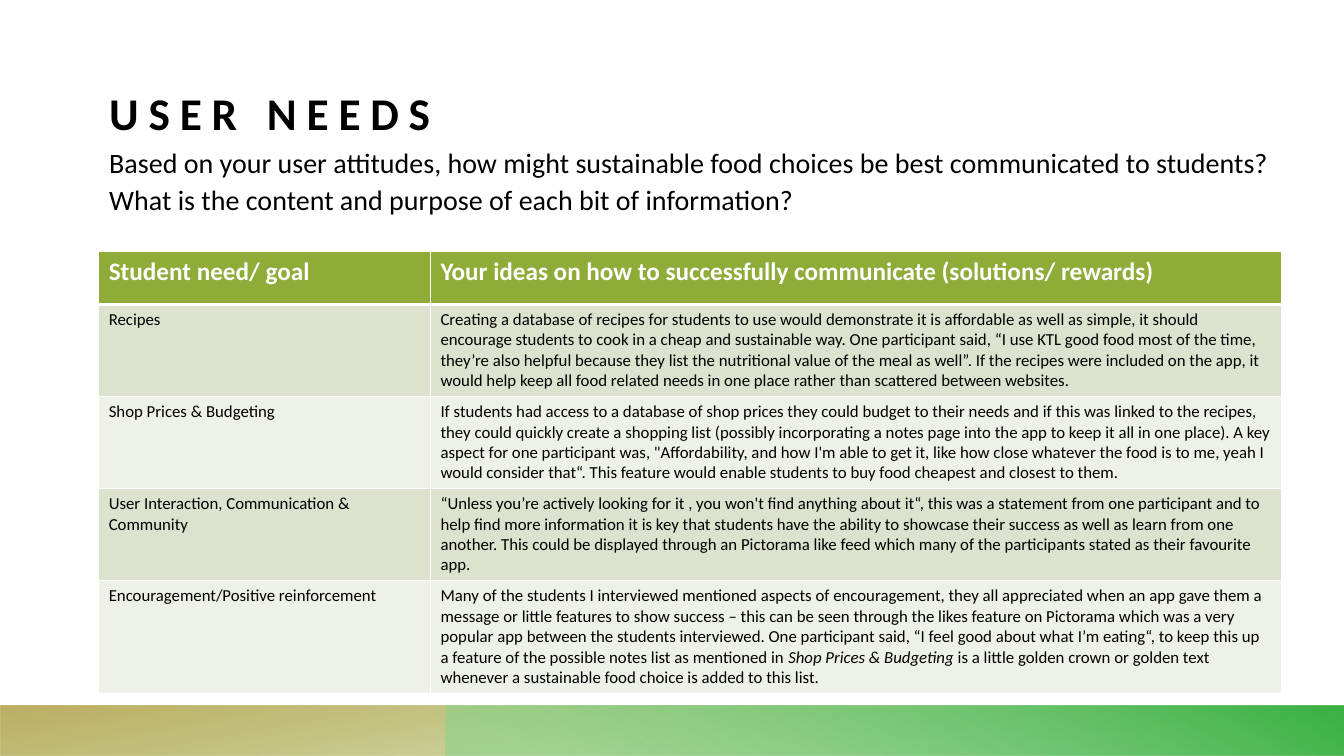
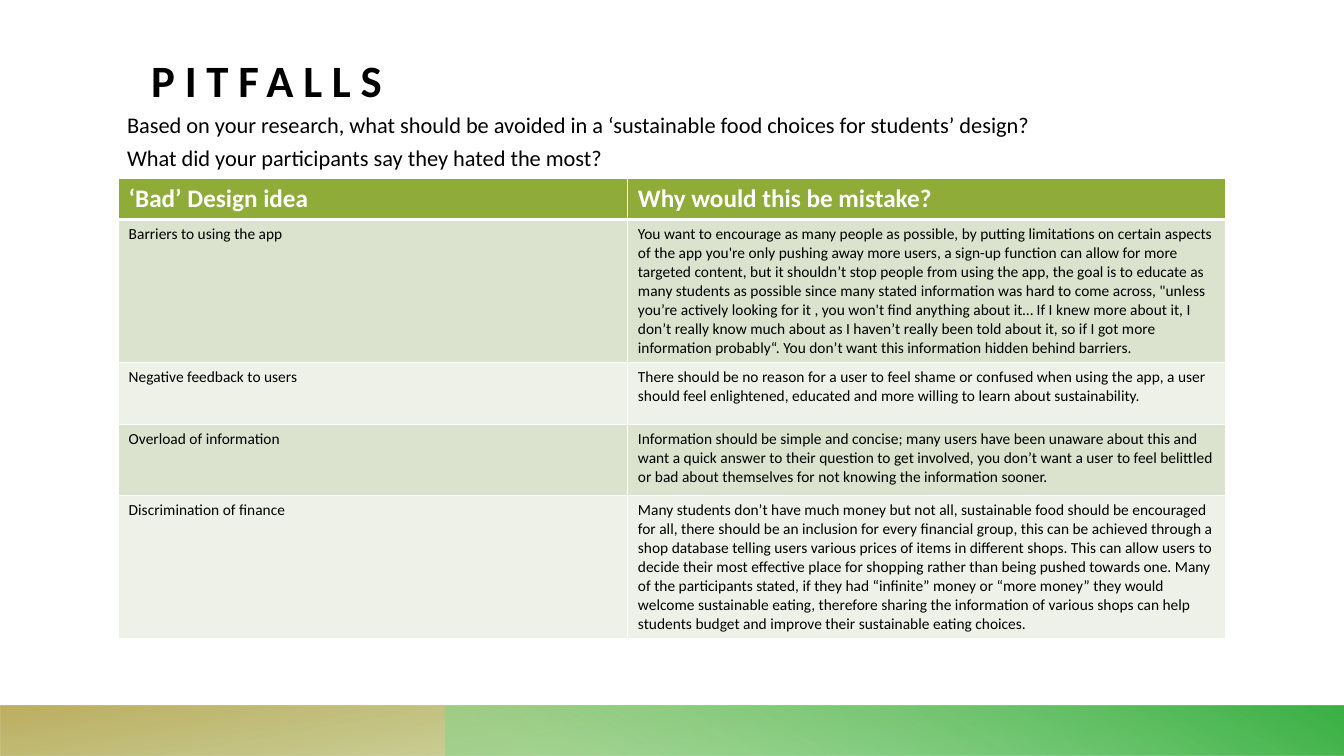
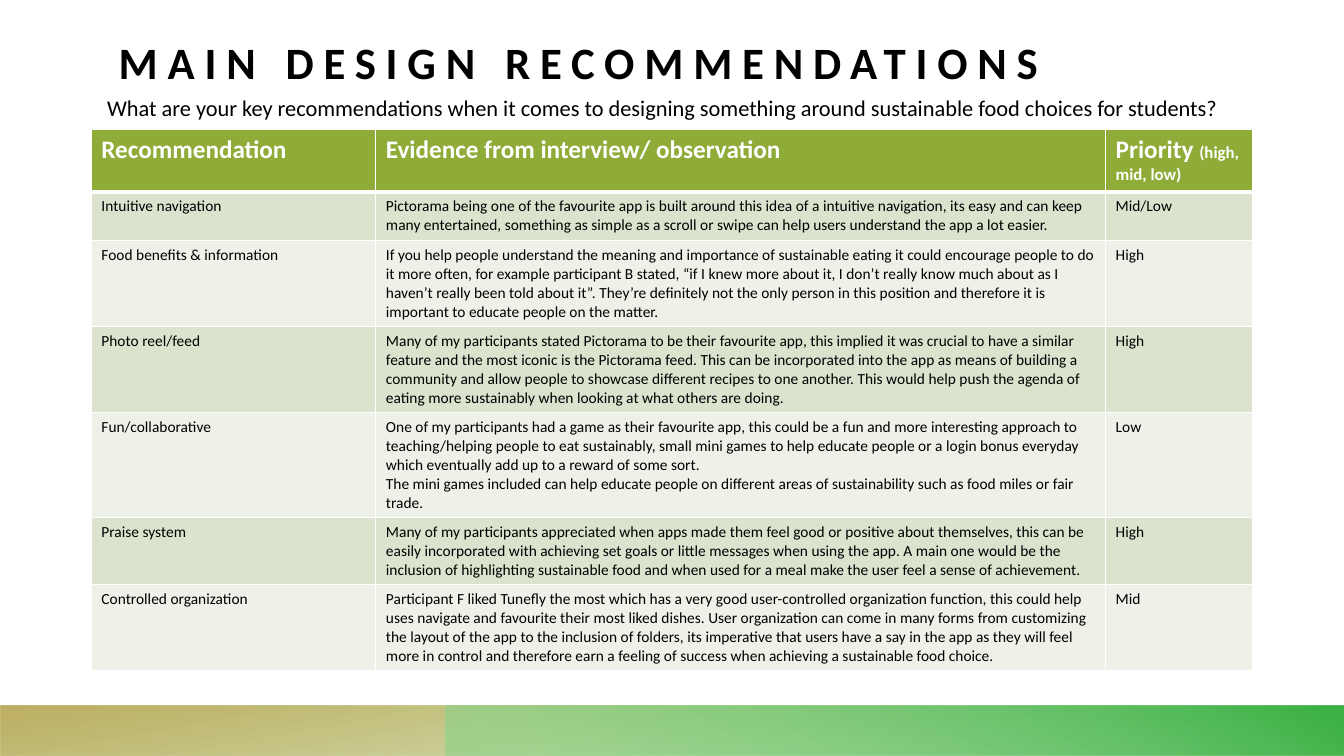
from pptx import Presentation
from pptx.dml.color import RGBColor
from pptx.enum.shapes import MSO_SHAPE
from pptx.enum.text import MSO_ANCHOR, MSO_AUTO_SIZE, PP_ALIGN
from pptx.oxml import parse_xml
from pptx.oxml.ns import nsdecls, qn
from pptx.util import Pt

RECT = MSO_SHAPE.RECTANGLE
BOTTOM, TOP = MSO_ANCHOR.BOTTOM, MSO_ANCHOR.TOP
NO_FIT = MSO_AUTO_SIZE.NONE
LEFT = PP_ALIGN.LEFT

PX = 9525  # EMU in one px, 96 px to the inch
WIDTH, HEIGHT = 1280, 720
BAND_TOP, BAND_HEIGHT = 672, 48
GREEN_BAND_LEFT = 424

FONT = "Calibri"
TITLE_PT, TITLE_TRACKING = 32, 700
HEADER_PT = 18
THIN, THICK = Pt(1), Pt(3)

BLACK = RGBColor(0x00, 0x00, 0x00)
WHITE = RGBColor(0xFF, 0xFF, 0xFF)
OLIVE = RGBColor(0x8F, 0xAC, 0x39)
GOLD = RGBColor(0xB2, 0xA0, 0x46)
MINT = RGBColor(0x84, 0xD6, 0x8A)
GREEN = RGBColor(0x3B, 0xB1, 0x44)
ROW_FILLS = (RGBColor(0xDB, 0xE3, 0xCE), RGBColor(0xEE, 0xF1, 0xE8))

NEEDS = [
    ["Student need/ goal",
     "Your ideas on how to successfully communicate (solutions/ rewards)"],
    ["Recipes",
     "Creating a database of recipes for students to use would demonstrate it is "
     "affordable as well as simple, it should encourage students to cook in a cheap "
     "and sustainable way. One participant said, “I use KTL good food most of the "
     "time, they’re also helpful because they list the nutritional value of the meal "
     "as well”. If the recipes were included on the app, it would help keep all food "
     "related needs in one place rather than scattered between websites."],
    ["Shop Prices & Budgeting",
     "If students had access to a database of shop prices they could budget to their "
     "needs and if this was linked to the recipes, they could quickly create a "
     "shopping list (possibly incorporating a notes page into the app to keep it all "
     "in one place). A key aspect for one participant was, \"Affordability, and how "
     "I'm able to get it, like how close whatever the food is to me, yeah I would "
     "consider that“. This feature would enable students to buy food cheapest and "
     "closest to them."],
    ["User Interaction, Communication & Community",
     "“Unless you’re actively looking for it , you won't find anything about it“, "
     "this was a statement from one participant and to help find more information it "
     "is key that students have the ability to showcase their success as well as "
     "learn from one another. This could be displayed through an Pictorama like feed "
     "which many of the participants stated as their favourite app."],
    ["Encouragement/Positive reinforcement",
     [("Many of the students I interviewed mentioned aspects of encouragement, they "
       "all appreciated when an app gave them a message or little features to show "
       "success – this can be seen through the likes feature on Pictorama which was a "
       "very popular app between the students interviewed. One participant said, “I "
       "feel good about what I’m eating“, to keep this up a feature of the possible "
       "notes list as mentioned in ", {}),
      ("Shop Prices & Budgeting ", {"italic": True}),
      ("is a little golden crown or golden text whenever a sustainable food choice is "
       "added to this list.", {})]],
]

PITFALLS = [
    ["‘Bad’ Design idea", "Why would this be mistake?"],
    ["Barriers to using the app",
     "You want to encourage as many people as possible, by putting limitations on "
     "certain aspects of the app you're only pushing away more users, a sign-up "
     "function can allow for more targeted content, but it shouldn’t stop people from "
     "using the app, the goal is to educate as many students as possible since many "
     "stated information was hard to come across, \"unless you’re actively looking "
     "for it , you won't find anything about it… If I knew more about it, I don’t "
     "really know much about as I haven’t really been told about it, so if I got more "
     "information probably“. You don’t want this information hidden behind barriers."],
    ["Negative feedback to users",
     "There should be no reason for a user to feel shame or confused when using the "
     "app, a user should feel enlightened, educated and more willing to learn about "
     "sustainability."],
    ["Overload of information",
     "Information should be simple and concise; many users have been unaware about "
     "this and want a quick answer to their question to get involved, you don’t want "
     "a user to feel belittled or bad about themselves for not knowing the "
     "information sooner."],
    ["Discrimination of finance",
     "Many students don’t have much money but not all, sustainable food should be "
     "encouraged for all, there should be an inclusion for every financial group, "
     "this can be achieved through a shop database telling users various prices of "
     "items in different shops. This can allow users to decide their most effective "
     "place for shopping rather than being pushed towards one. Many of the "
     "participants stated, if they had “infinite” money or “more money” they would "
     "welcome sustainable eating, therefore sharing the information of various shops "
     "can help students budget and improve their sustainable eating choices."],
]

RECOMMENDATIONS = [
    ["Recommendation", "Evidence from interview/ observation",
     [("Priority ", {}), ("(high, mid, low)", {"size": 12})]],
    ["Intuitive navigation",
     "Pictorama being one of the favourite app is built around this idea of a "
     "intuitive navigation, its easy and can keep many entertained, something as "
     "simple as a scroll or swipe can help users understand the app a lot easier.",
     "Mid/Low"],
    ["Food benefits & information",
     "If you help people understand the meaning and importance of sustainable eating "
     "it could encourage people to do it more often, for example participant B "
     "stated, “if I knew more about it, I don’t really know much about as I haven’t "
     "really been told about it”. They’re definitely not the only person in this "
     "position and therefore it is important to educate people on the matter.",
     "High"],
    ["Photo reel/feed",
     "Many of my participants stated Pictorama to be their favourite app, this "
     "implied it was crucial to have a similar feature and the most iconic is the "
     "Pictorama feed. This can be incorporated into the app as means of building a "
     "community and allow people to showcase different recipes to one another. This "
     "would help push the agenda of eating more sustainably when looking at what "
     "others are doing.",
     "High"],
    ["Fun/collaborative",
     "One of my participants had a game as their favourite app, this could be a fun "
     "and more interesting approach to teaching/helping people to eat sustainably, "
     "small mini games to help educate people or a login bonus everyday which "
     "eventually add up to a reward of some sort.\n"
     "The mini games included can help educate people on different areas of "
     "sustainability such as food miles or fair trade.",
     "Low"],
    ["Praise system",
     "Many of my participants appreciated when apps made them feel good or positive "
     "about themselves, this can be easily incorporated with achieving set goals or "
     "little messages when using the app. A main one would be the inclusion of "
     "highlighting sustainable food and when used for a meal make the user feel a "
     "sense of achievement.",
     "High"],
    ["Controlled organization",
     "Participant F liked Tunefly the most which has a very good user-controlled "
     "organization function, this could help uses navigate and favourite their most "
     "liked dishes. User organization can come in many forms from customizing the "
     "layout of the app to the inclusion of folders, its imperative that users have a "
     "say in the app as they will feel more in control and therefore earn a feeling "
     "of success when achieving a sustainable food choice.",
     "Mid"],
]


def write(tf, text, size, color=BLACK, bold=False, italic=False):
    """Append a run; a newline starts a paragraph, a vertical tab breaks the line."""
    for i, para in enumerate(text.split("\n")):
        p = tf.add_paragraph() if i else tf.paragraphs[-1]
        for j, line in enumerate(para.split("\v")):
            if j:
                p.add_line_break()
            r = p.add_run()
            r.text = line
            r.font.name, r.font.size = FONT, Pt(size)
            r.font.bold, r.font.italic = bold, italic
            r.font.color.rgb = color


def place(sp, box):
    sp.left, sp.top, sp.width, sp.height = (v * PX for v in box)


def prepare_placeholder(sp, box, anchor):
    place(sp, box)
    tf = sp.text_frame
    tf.margin_left = tf.margin_top = tf.margin_right = tf.margin_bottom = 0
    tf.vertical_anchor = anchor
    tf.auto_size = NO_FIT
    tf.word_wrap = True
    tf.paragraphs[0].alignment = LEFT
    return tf


def add_title(slide, text, box, size=TITLE_PT):
    sp = slide.shapes.title
    write(prepare_placeholder(sp, box, BOTTOM), text, size, bold=True)
    for r_pr in sp.element.iter(qn("a:rPr")):
        r_pr.set("spc", str(TITLE_TRACKING))


def add_question(slide, text, box, size, spacing):
    sp = slide.placeholders[1]
    tf = prepare_placeholder(sp, box, TOP)
    write(tf, text, size)
    p = tf.paragraphs[0]
    p.line_spacing, p.space_before = spacing, Pt(10)
    for p_pr in sp.element.iter(qn("a:pPr")):
        p_pr.set("marL", "0")
        p_pr.set("indent", "0")
        p_pr.append(parse_xml(f"<a:buNone {nsdecls('a')}/>"))


def set_borders(tc_pr, top, bottom):
    sides = (("L", THIN), ("R", THIN), ("T", top), ("B", bottom))
    for i, (side, width) in enumerate(sides):
        tc_pr.insert(i, parse_xml(
            f'<a:ln{side} {nsdecls("a")} w="{int(width)}"><a:solidFill>'
            f'<a:srgbClr val="{WHITE}"/></a:solidFill></a:ln{side}>'))


def add_grid(slide, rows, left, top, widths, heights, size):
    """Add a table with a header row and alternating row fills."""
    frame = slide.shapes.add_table(
        len(rows), len(widths), left * PX, top * PX,
        sum(widths) * PX, sum(heights) * PX)
    table = frame.table
    table.horz_banding = False
    for col, width in zip(table.columns, widths):
        col.width = width * PX
    for i, (row, height, contents) in enumerate(zip(table.rows, heights, rows)):
        row.height = height * PX
        base = ({"size": size} if i else
                {"size": HEADER_PT, "color": WHITE, "bold": True})
        for cell, content in zip(row.cells, contents):
            cell.fill.solid()
            cell.fill.fore_color.rgb = ROW_FILLS[(i - 1) % 2] if i else OLIVE
            runs = [(content, {})] if isinstance(content, str) else content
            for text, changes in runs:
                write(cell.text_frame, text, **{**base, **changes})
    for i, tr in enumerate(frame.element.iter(qn("a:tr"))):
        for tc_pr in tr.iter(qn("a:tcPr")):
            set_borders(tc_pr, THICK if i == 1 else THIN, THIN if i else THICK)


def add_band(slide, left, stops, angle, rotation=0):
    """Add a mirrored gradient band; stops are (percent, colour, opacity)."""
    sp = slide.shapes.add_shape(
        RECT, left * PX, BAND_TOP * PX, (WIDTH - left) * PX, BAND_HEIGHT * PX)
    sp.rotation = rotation
    sp.shadow.inherit = False
    sp.line.fill.background()
    stop_xml = "".join(
        f'<a:gs pos="{pos * 1000}"><a:srgbClr val="{color}">'
        f'<a:alpha val="{alpha * 1000}"/></a:srgbClr></a:gs>'
        for pos, color, alpha in stops)
    sp_pr = sp.element.spPr
    sp_pr.find(qn("a:xfrm")).set("flipH", "1")
    sp_pr.insert(2, parse_xml(
        f'<a:gradFill {nsdecls("a")} rotWithShape="1"><a:gsLst>{stop_xml}</a:gsLst>'
        f'<a:lin ang="{angle * 60000}" scaled="0"/></a:gradFill>'))
    return sp


def add_footer_bands(slide):
    """Put the gold and green bands behind the slide's other shapes."""
    gold = add_band(slide, 0, [(14, OLIVE, 28), (100, GOLD, 85)], 100, 180)
    green = add_band(slide, GREEN_BAND_LEFT, [(9, MINT, 55), (99, GREEN, 100)], 240)
    for i, sp in enumerate((gold, green)):
        slide.shapes.element.insert(2 + i, sp.element)


def new_slide(prs):
    slide = prs.slides.add_slide(prs.slide_layouts[1])
    add_footer_bands(slide)
    return slide


def main():
    prs = Presentation()
    prs.slide_width, prs.slide_height = WIDTH * PX, HEIGHT * PX

    needs = new_slide(prs)
    add_title(needs, "USER NEEDS", (104, 77, 1106, 56), size=32.4)
    add_question(
        needs,
        "Based on your user attitudes, how might sustainable food choices be best "
        "communicated to students?\vWhat is the content and purpose of each bit of "
        "information?", (104, 135, 1116, 72), 20, 1.1)
    add_grid(needs, NEEDS, 94, 239, [316, 811], [51] + [53] * 4, 12)

    pitfalls = new_slide(prs)
    add_title(pitfalls, "PITFALLS", (144, 33, 1075, 68))
    add_question(
        pitfalls,
        "Based on your research, what should be avoided in a ‘sustainable food choices "
        "for students’ design? \vWhat did your participants say they hated the most?",
        (121, 101, 1075, 68), 16, 1.2)
    add_grid(pitfalls, PITFALLS, 113, 170, [485, 569], [36, 93, 59, 68, 93], 11)

    advice = new_slide(prs)
    add_title(advice, "MAIN DESIGN RECOMMENDATIONS", (113, 0, 1106, 84))
    add_question(
        advice,
        "What are your key recommendations when it comes to designing something around "
        "sustainable food choices for students?", (102, 85, 1106, 38), 16, 1.2)
    add_grid(advice, RECOMMENDATIONS, 87, 123, [271, 695, 140], [60] + [43] * 6, 11)

    prs.save("out.pptx")


if __name__ == "__main__":
    main()
